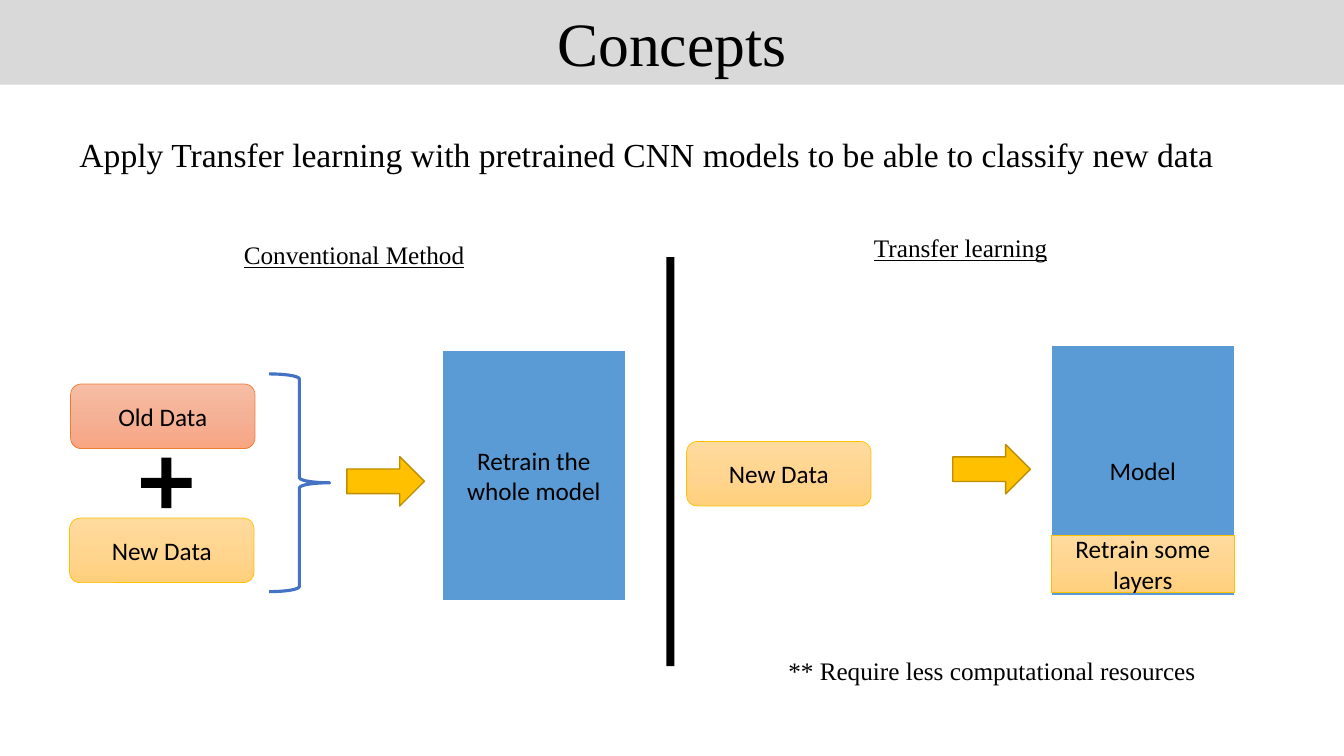
from copy import deepcopy
from dataclasses import dataclass

from pptx import Presentation
from pptx.dml.color import RGBColor
from pptx.enum.shapes import MSO_SHAPE
from pptx.enum.text import MSO_ANCHOR, PP_ALIGN
from pptx.oxml.ns import qn
from pptx.shapes.autoshape import Shape
from pptx.slide import Slide
from pptx.util import Inches, Pt

BLACK = RGBColor(0x00, 0x00, 0x00)
WHITE = RGBColor(0xFF, 0xFF, 0xFF)
GRAY = RGBColor(0xD9, 0xD9, 0xD9)
MODEL_BLUE = RGBColor(0x5B, 0x9B, 0xD5)
BRACE_BLUE = RGBColor(0x44, 0x72, 0xC4)
ORANGE = RGBColor(0xED, 0x7D, 0x31)
GOLD = RGBColor(0xFF, 0xC0, 0x00)
DARK_GOLD = RGBColor(0xBD, 0x8E, 0x00)
OLD_GRADIENT = (RGBColor(0xF7, 0xBD, 0xA5), RGBColor(0xF5, 0xB1, 0x96), RGBColor(0xF8, 0xA5, 0x82))
NEW_GRADIENT = (RGBColor(0xFF, 0xDB, 0x9E), RGBColor(0xFF, 0xD5, 0x90), RGBColor(0xFF, 0xD0, 0x7C))

SERIF = "Times New Roman"
SANS = "Calibri"


@dataclass(frozen=True)
class Style:
    """Preset, fill colours (none, one, or three for a gradient) and outline."""
    preset: MSO_SHAPE
    fill: tuple[RGBColor, ...] = ()
    line: RGBColor | None = None
    line_width: float = 0
    adjustment: float | None = None
    font: str = SANS
    size: float = 18


@dataclass(frozen=True)
class Block:
    style: Style
    left: float
    top: float
    width: float
    height: float
    text: str = ""


@dataclass(frozen=True)
class Label:
    text: str
    left: float
    top: float
    width: float
    height: float = 0.4
    size: float = 18
    underline: bool = False


TITLE_BAR = Style(MSO_SHAPE.RECTANGLE, (GRAY,), font=SERIF, size=44)
MODEL = Style(MSO_SHAPE.ROUNDED_RECTANGLE, (MODEL_BLUE,), WHITE, 1.5, 0)
OLD_DATA = Style(MSO_SHAPE.ROUNDED_RECTANGLE, OLD_GRADIENT, ORANGE, 0.5)
NEW_DATA = Style(MSO_SHAPE.ROUNDED_RECTANGLE, NEW_GRADIENT, GOLD, 0.5)
LAYERS = Style(MSO_SHAPE.RECTANGLE, NEW_GRADIENT, GOLD, 0.5)
PLUS = Style(MSO_SHAPE.CROSS, (BLACK,), adjustment=0.4)
BRACE = Style(MSO_SHAPE.RIGHT_BRACE, line=BRACE_BLUE, line_width=2.25)
ARROW = Style(MSO_SHAPE.RIGHT_ARROW, (GOLD,), DARK_GOLD, 1)
DIVIDER = Style(MSO_SHAPE.RECTANGLE, (BLACK,))

BLOCKS = (
    Block(TITLE_BAR, 0, 0, 13.33, 0.84, "Concepts"),
    Block(MODEL, 4.38, 3.47, 1.83, 2.49, "Retrain the whole model"),
    Block(OLD_DATA, 0.7, 3.81, 1.83, 0.64, "Old Data"),
    Block(NEW_DATA, 0.69, 5.14, 1.83, 0.64, "New Data"),
    Block(PLUS, 1.4, 4.54, 0.5, 0.5),
    Block(NEW_DATA, 6.81, 4.38, 1.83, 0.64, "New Data"),
    Block(BRACE, 2.67, 3.71, 0.6, 2.16),
    Block(ARROW, 3.44, 4.53, 0.77, 0.49),
    Block(ARROW, 9.45, 4.41, 0.77, 0.49),
    Block(DIVIDER, 6.61, 2.55, 0.08, 4.06),
)
TRANSFER_MODEL = (
    Block(MODEL, 10.42, 3.42, 1.83, 2.49, "Model"),
    Block(LAYERS, 10.43, 5.31, 1.81, 0.57, "Retrain some layers"),
)
LABELS = (
    Label("Apply Transfer learning with pretrained CNN models to be able to classify new data",
          0.69, 1.28, 11.5, 0.5, size=24),
    Label("Conventional Method", 2.32, 2.33, 2.44, underline=True),
    Label("Transfer learning", 8.57, 2.26, 1.94, underline=True),
    Label("** Require less computational resources", 7.72, 6.45, 4.28),
)


def fill_gradient(shape: Shape, colors: tuple[RGBColor, ...]) -> None:
    """Fill from top to bottom with three evenly spaced colours."""
    shape.fill.gradient()
    shape.fill.gradient_angle = 270
    stop_list = shape._element.spPr.find(f".//{qn('a:gsLst')}")
    stop_list.insert(1, deepcopy(stop_list[0]))
    for index, (stop, color) in enumerate(zip(shape.fill.gradient_stops, colors)):
        stop.color.rgb = color
        stop.position = index / 2


def add_block(slide: Slide, block: Block) -> Shape:
    style = block.style
    shape = slide.shapes.add_shape(style.preset, Inches(block.left), Inches(block.top),
                                   Inches(block.width), Inches(block.height))
    shape.shadow.inherit = False
    if style.adjustment is not None:
        shape.adjustments[0] = style.adjustment
    if len(style.fill) > 1:
        fill_gradient(shape, style.fill)
    elif style.fill:
        shape.fill.solid()
        shape.fill.fore_color.rgb = style.fill[0]
    else:
        shape.fill.background()
    if style.line is None:
        shape.line.fill.background()
    else:
        shape.line.color.rgb = style.line
        shape.line.width = Pt(style.line_width)
    if block.text:
        frame = shape.text_frame
        frame.word_wrap = True
        frame.vertical_anchor = MSO_ANCHOR.MIDDLE
        paragraph = frame.paragraphs[0]
        paragraph.text = block.text
        paragraph.alignment = PP_ALIGN.CENTER
        paragraph.font.name = style.font
        paragraph.font.size = Pt(style.size)
        paragraph.font.color.rgb = BLACK
    return shape


def add_label(slide: Slide, label: Label) -> None:
    box = slide.shapes.add_textbox(Inches(label.left), Inches(label.top),
                                   Inches(label.width), Inches(label.height))
    box.text_frame.word_wrap = False
    paragraph = box.text_frame.paragraphs[0]
    paragraph.text = label.text
    paragraph.font.name = SERIF
    paragraph.font.size = Pt(label.size)
    paragraph.font.color.rgb = BLACK
    if label.underline:
        paragraph.font.underline = True


def main() -> None:
    presentation = Presentation()
    presentation.slide_width = Inches(13.33)
    presentation.slide_height = Inches(7.5)
    slide = presentation.slides.add_slide(presentation.slide_layouts[6])
    for block in BLOCKS:
        add_block(slide, block)
    slide.shapes.add_group_shape([add_block(slide, block) for block in TRANSFER_MODEL])
    for label in LABELS:
        add_label(slide, label)
    presentation.save("out.pptx")


if __name__ == "__main__":
    main()
